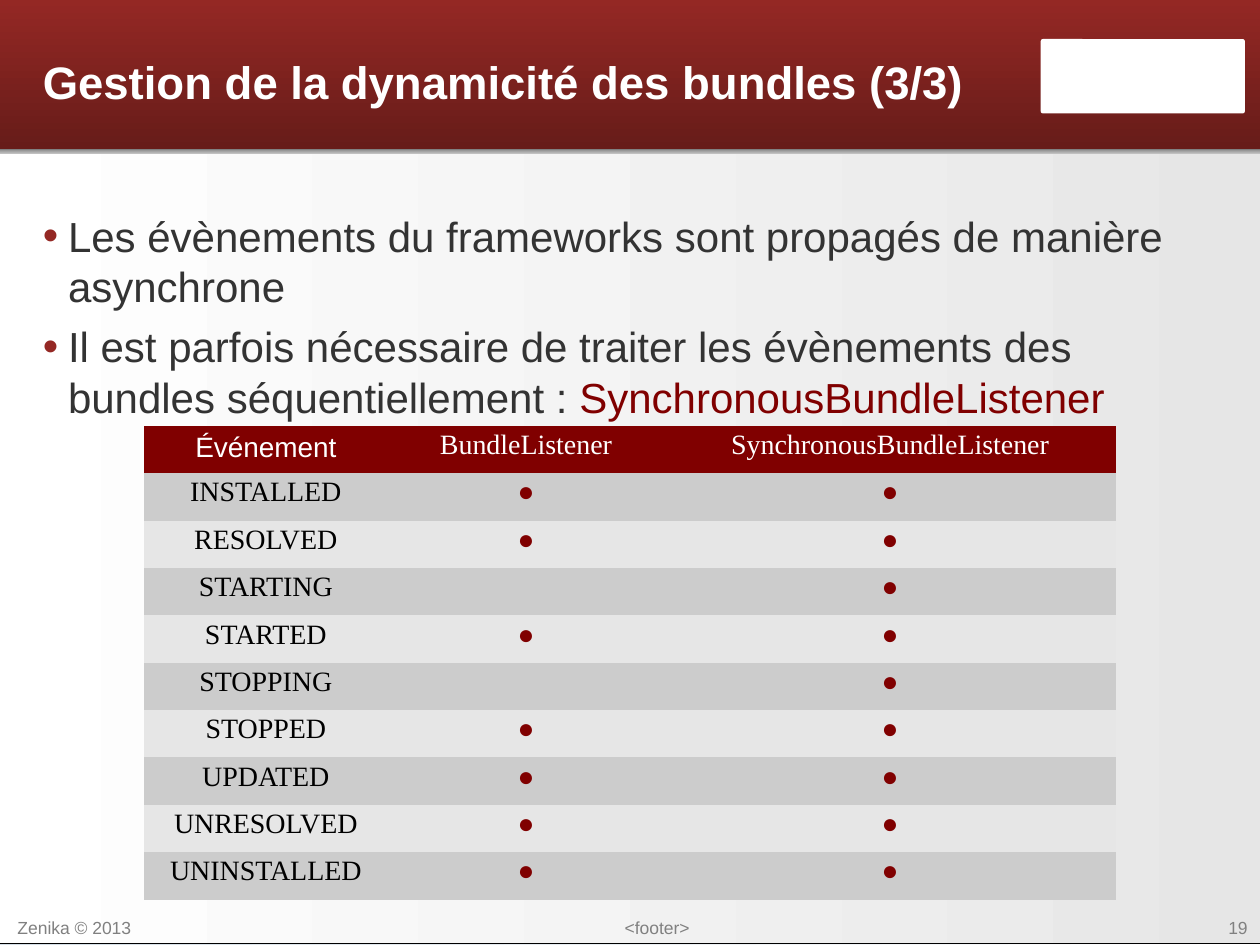
import dataclasses
import typing

import lxml.etree
import pptx
import pptx.dml.color
import pptx.enum.shapes
import pptx.enum.text
import pptx.oxml.ns
import pptx.util

RGBColor = pptx.dml.color.RGBColor
Inches = pptx.util.Inches
Pt = pptx.util.Pt
Align = pptx.enum.text.PP_ALIGN
Anchor = pptx.enum.text.MSO_ANCHOR
Kind = pptx.enum.shapes.MSO_SHAPE
qn = pptx.oxml.ns.qn

WHITE = RGBColor(0xFF, 0xFF, 0xFF)
BLACK = RGBColor(0, 0, 0)
MAROON = RGBColor(0x80, 0, 0)
BRICK = RGBColor(0x94, 0x28, 0x24)
DARK_BRICK = RGBColor(0x67, 0x1C, 0x19)
INK = RGBColor(0x33, 0x33, 0x33)
GRAY = RGBColor(0x80, 0x80, 0x80)
SILVER = RGBColor(0xC0, 0xC0, 0xC0)
ROW_DARK = RGBColor(0xCC, 0xCC, 0xCC)
ROW_LIGHT = RGBColor(0xE6, 0xE6, 0xE6)
BACK_START = RGBColor(0xD5, 0xDF, 0xE7)
BACK_END = RGBColor(0xFE, 0xFE, 0xFE)
SANS = "Arial"
SERIF = "Times New Roman"
NO_GRID_STYLE = "{2D5ABB26-0587-4C30-8999-92F81FD0307C}"


class Box(typing.NamedTuple):
    left: float
    top: float
    width: float
    height: float

    def lengths(self) -> list:
        return [Inches(value) for value in self]


@dataclasses.dataclass
class Panel:
    box: Box
    colors: tuple
    angle: int = 0
    kind: typing.Any = Kind.ROUNDED_RECTANGLE
    corner: float = 0
    outline: typing.Optional[RGBColor] = None


@dataclasses.dataclass
class FooterPart:
    text: str
    box: Box
    align: typing.Any


class Event(typing.NamedTuple):
    name: str
    asynchronous: bool = True


PANELS = [
    Panel(Box(-0.04, 1.08, 10.08, 6.41), (WHITE, ROW_LIGHT), outline=BLACK),
    Panel(Box(-0.04, 0, 10.04, 1.18), (BRICK, DARK_BRICK), angle=270),
    Panel(Box(-0.04, 1.18, 10.04, 0.04), (SILVER, GRAY), angle=90, kind=Kind.RECTANGLE),
    Panel(Box(8.26, 0.31, 1.62, 0.59), (WHITE,), corner=0.03),
]
FOOTER = [
    FooterPart("Zenika © 2013", Box(0.04, 7.23, 1.18, 0.17), Align.LEFT),
    FooterPart("<footer>", Box(3.74, 7.23, 2.95, 0.17), Align.CENTER),
    FooterPart("19", Box(8.82, 7.23, 1.18, 0.17), Align.RIGHT),
]
BULLETS = [
    [("Les évènements du frameworks sont propagés de manière asynchrone", INK)],
    [
        ("Il est parfois nécessaire de traiter les évènements des bundles séquentiellement : ", INK),
        ("SynchronousBundleListener", MAROON),
    ],
]
HEADINGS = ["Événement", "BundleListener", "SynchronousBundleListener"]
EVENTS = [
    Event("INSTALLED"),
    Event("RESOLVED"),
    Event("STARTING", False),
    Event("STARTED"),
    Event("STOPPING", False),
    Event("STOPPED"),
    Event("UPDATED"),
    Event("UNRESOLVED"),
    Event("UNINSTALLED"),
]
TABLE_BOX = Box(1.14, 3.38, 7.72, 3.76)
COLUMN_WIDTHS = [1.94, 2.19, 3.59]


def fill_gradient(fill, colors: tuple, angle: int) -> None:
    fill.gradient()
    fill.gradient_angle = angle
    for stop, color in zip(fill.gradient_stops, colors):
        stop.color.rgb = color


def draw_panel(slide, panel: Panel) -> None:
    shape = slide.shapes.add_shape(panel.kind, *panel.box.lengths())
    shape.shadow.inherit = False
    if panel.kind == Kind.ROUNDED_RECTANGLE:
        shape.adjustments[0] = panel.corner
    if len(panel.colors) > 1:
        fill_gradient(shape.fill, panel.colors, panel.angle)
    else:
        shape.fill.solid()
        shape.fill.fore_color.rgb = panel.colors[0]
    if panel.outline is None:
        shape.line.fill.background()
    else:
        shape.line.color.rgb = panel.outline
        shape.line.width = Pt(0.75)


def write(paragraph, text, *, size: float, color=BLACK, font: str = SANS,
          bold: bool = False, align=Align.LEFT, spacing=None) -> None:
    paragraph.alignment = align
    if spacing:
        paragraph.line_spacing = spacing
    for part, tint in [(text, color)] if isinstance(text, str) else text:
        run = paragraph.add_run()
        run.text = part
        run.font.size = Pt(size)
        run.font.name = font
        run.font.bold = bold
        run.font.color.rgb = tint


def add_frame(slide, box: Box, *, anchor=Anchor.TOP, inset: bool = False):
    frame = slide.shapes.add_textbox(*box.lengths()).text_frame
    frame.word_wrap = True
    frame.vertical_anchor = anchor
    if not inset:
        frame.margin_left = frame.margin_right = frame.margin_top = frame.margin_bottom = 0
    return frame


def add_bullet(paragraph) -> None:
    properties = paragraph._p.get_or_add_pPr()
    properties.set("marL", str(Inches(0.2)))
    properties.set("indent", str(Inches(-0.2)))
    color = lxml.etree.SubElement(properties, qn("a:buClr"))
    lxml.etree.SubElement(color, qn("a:srgbClr"), val=str(BRICK))
    lxml.etree.SubElement(properties, qn("a:buSzPct"), val="105000")
    lxml.etree.SubElement(properties, qn("a:buFont"), typeface=SANS)
    lxml.etree.SubElement(properties, qn("a:buChar"), char="•")


def draw_bullets(slide) -> None:
    frame = add_frame(slide, Box(0.34, 1.67, 9.23, 5.52))
    for index, runs in enumerate(BULLETS):
        paragraph = frame.add_paragraph() if index else frame.paragraphs[0]
        add_bullet(paragraph)
        if index:
            paragraph.space_before = Pt(5.5)
        write(paragraph, runs, size=24)


def fill_cell(cell, text: str, fill: RGBColor, **style) -> None:
    cell.fill.solid()
    cell.fill.fore_color.rgb = fill
    paragraph = cell.text_frame.paragraphs[0]
    if text:
        write(paragraph, text, size=16, align=Align.CENTER, **style)
    else:
        paragraph._p.get_or_add_endParaRPr().set("sz", "1600")


def draw_table(slide) -> None:
    table = slide.shapes.add_table(len(EVENTS) + 1, len(HEADINGS), *TABLE_BOX.lengths()).table
    table._tbl.tblPr.find(qn("a:tableStyleId")).text = NO_GRID_STYLE
    table.horz_banding = False
    for column, width in zip(table.columns, COLUMN_WIDTHS):
        column.width = Inches(width)
    for index, heading in enumerate(HEADINGS):
        style = dict(font=SERIF, spacing=0.9) if index else {}
        fill_cell(table.cell(0, index), heading, MAROON, color=WHITE, **style)
    for row, event in enumerate(EVENTS, start=1):
        fill = ROW_DARK if row % 2 else ROW_LIGHT
        fill_cell(table.cell(row, 0), event.name, fill, font=SERIF, spacing=0.9)
        for column, notified in enumerate((event.asynchronous, True), start=1):
            fill_cell(table.cell(row, column), "●" if notified else "", fill, color=MAROON, spacing=0.9)


def main() -> None:
    """Build the slide on synchronous and asynchronous bundle listeners."""
    deck = pptx.Presentation()
    deck.slide_width, deck.slide_height = Inches(10), Inches(7.5)
    slide = deck.slides.add_slide(deck.slide_layouts[6])
    fill_gradient(slide.background.fill, (BACK_START, BACK_END), 0)
    for panel in PANELS:
        draw_panel(slide, panel)
    for part in FOOTER:
        frame = add_frame(slide, part.box, inset=True)
        write(frame.paragraphs[0], part.text, size=10, color=GRAY, align=part.align)
    title = add_frame(slide, Box(0.34, 0.1, 7.7, 1.09), anchor=Anchor.MIDDLE)
    write(title.paragraphs[0], "Gestion de la dynamicité des bundles (3/3)", size=26, color=WHITE, bold=True)
    draw_bullets(slide)
    draw_table(slide)
    deck.save("out.pptx")


if __name__ == "__main__":
    main()
